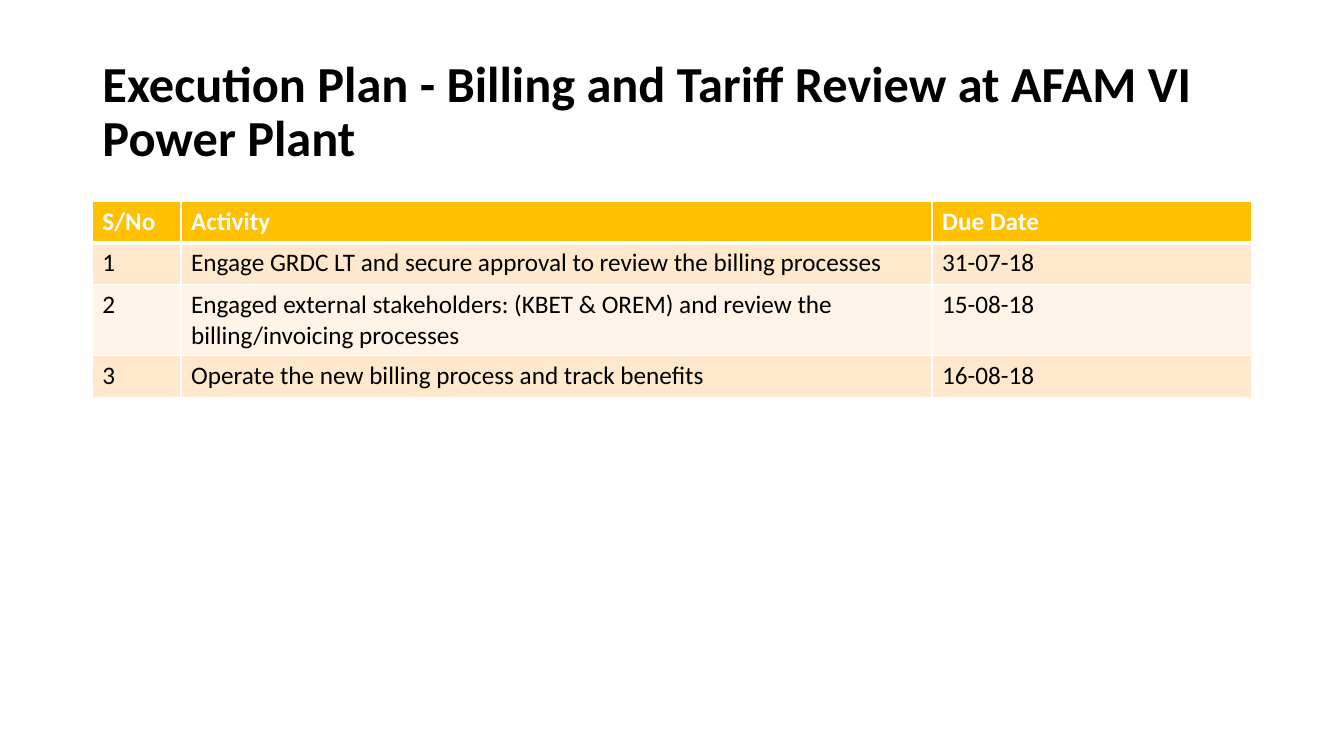
import pptx
import pptx.dml.color
import pptx.enum.text
import pptx.oxml
import pptx.oxml.ns
import pptx.util

COLORS = {
    "text": "000000",
    "white": "FFFFFF",
    "header": "FFC000",
    "odd_row": "FFE8CC",
    "even_row": "FFF4E7",
}
GRID_COLUMNS, GRID_ROWS = 160, 90
LEFT, WIDTH = 11, 138

TITLE = "Execution Plan - Billing and Tariff Review at AFAM VI Power Plant"
PLAN = [
    ("S/No", "Activity", "Due Date"),
    ("1", "Engage GRDC LT and secure approval to review the billing processes", "31-07-18"),
    ("2", "Engaged external stakeholders: (KBET & OREM) and review the "
          "billing/invoicing processes", "15-08-18"),
    ("3", "Operate the new billing process and track benefits", "16-08-18"),
]
COLUMN_WIDTHS = [10.56, 89.4, 38.04]
ROW_HEIGHTS = [4.92, 4.92, 8.52, 4.92]


class PlanSlide:
    """Holds the font, the grid and the slide; lengths are grid columns and rows."""

    font_name = "Calibri"

    def __init__(self, presentation):
        self.column = presentation.slide_width / GRID_COLUMNS
        self.row = presentation.slide_height / GRID_ROWS
        self.slide = presentation.slides.add_slide(presentation.slide_layouts[5])

    def place(self, left, top, width, height):
        return (round(left * self.column), round(top * self.row),
                round(width * self.column), round(height * self.row))

    def format_text(self, paragraph, size, color, bold):
        paragraph.alignment = pptx.enum.text.PP_ALIGN.LEFT
        for run in paragraph.runs:
            run.font.name = self.font_name
            run.font.size = pptx.util.Pt(size)
            run.font.bold = bold
            run.font.color.rgb = pptx.dml.color.RGBColor.from_string(COLORS[color])

    def add_title(self, text, top, height):
        title = self.slide.shapes.title
        title.left, title.top, title.width, title.height = self.place(LEFT, top, WIDTH, height)
        frame = title.text_frame
        frame.text = text
        frame.word_wrap = True
        frame.auto_size = pptx.enum.text.MSO_AUTO_SIZE.NONE
        frame.vertical_anchor = pptx.enum.text.MSO_ANCHOR.MIDDLE
        paragraph = frame.paragraphs[0]
        paragraph.line_spacing = 0.9
        self.format_text(paragraph, 36, "text", True)

    def add_table(self, rows, top, widths, heights):
        place = self.place(LEFT, top, sum(widths), sum(heights))
        table = self.slide.shapes.add_table(len(rows), len(widths), *place).table
        for column, width in zip(table.columns, widths):
            column.width = round(width * self.column)
        for row, height in zip(table.rows, heights):
            row.height = round(height * self.row)
        for row_index, texts in enumerate(rows):
            for column_index, text in enumerate(texts):
                self.fill_cell(table.cell(row_index, column_index), text, row_index)

    def fill_cell(self, cell, text, row_index):
        is_header = row_index == 0
        band = "odd_row" if row_index % 2 else "even_row"
        cell.text_frame.text = text
        self.format_text(cell.text_frame.paragraphs[0], 18,
                         "white" if is_header else "text", is_header)
        self.add_borders(cell, top=3 if row_index == 1 else 1, bottom=3 if is_header else 1)
        cell.fill.solid()
        cell.fill.fore_color.rgb = pptx.dml.color.RGBColor.from_string(
            COLORS["header" if is_header else band])

    def add_borders(self, cell, top, bottom):
        properties = cell._tc.get_or_add_tcPr()
        for side, points in (("L", 1), ("R", 1), ("T", top), ("B", bottom)):
            properties.append(pptx.oxml.parse_xml(
                f'<a:ln{side} {pptx.oxml.ns.nsdecls("a")} w="{pptx.util.Pt(points)}">'
                f'<a:solidFill><a:srgbClr val="{COLORS["white"]}"/></a:solidFill>'
                f'</a:ln{side}>'))


def main():
    presentation = pptx.Presentation()
    presentation.slide_width = pptx.util.Inches(13.33)
    presentation.slide_height = pptx.util.Inches(7.5)
    plan_slide = PlanSlide(presentation)
    plan_slide.add_title(TITLE, top=4.8, height=17.4)
    plan_slide.add_table(PLAN, top=24, widths=COLUMN_WIDTHS, heights=ROW_HEIGHTS)
    presentation.save("out.pptx")


if __name__ == "__main__":
    main()
